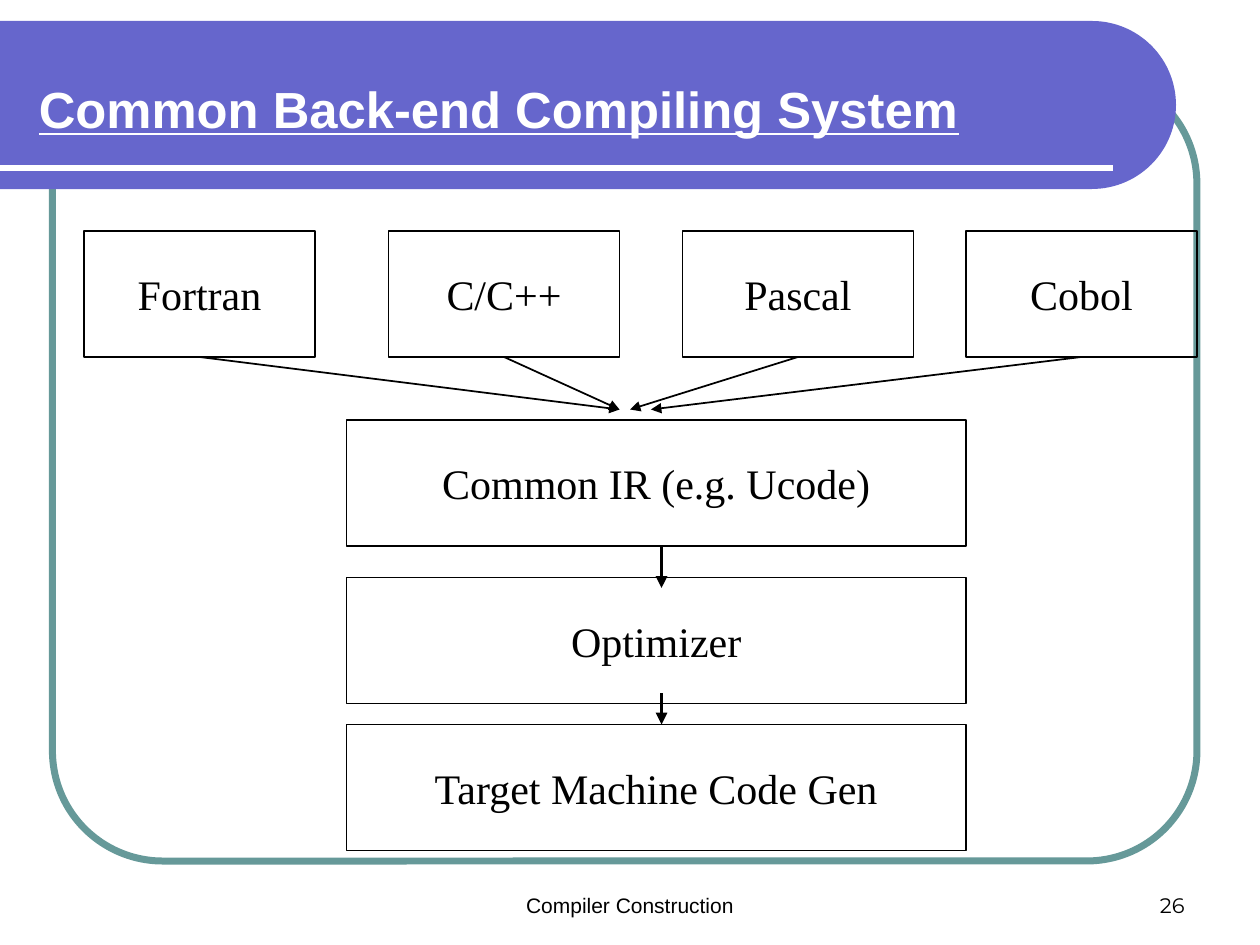
import math
from dataclasses import dataclass
from pptx import Presentation
from pptx.dml.color import RGBColor
from pptx.enum.shapes import MSO_CONNECTOR, MSO_SHAPE
from pptx.enum.text import MSO_ANCHOR, MSO_AUTO_SIZE, PP_ALIGN
from pptx.oxml.ns import qn
from pptx.util import Pt
from lxml import etree

STRAIGHT = MSO_CONNECTOR.STRAIGHT
RECTANGLE, ROUNDED = MSO_SHAPE.RECTANGLE, MSO_SHAPE.ROUNDED_RECTANGLE
MIDDLE, BOTTOM = MSO_ANCHOR.MIDDLE, MSO_ANCHOR.BOTTOM
LEFT, CENTER, RIGHT = PP_ALIGN.LEFT, PP_ALIGN.CENTER, PP_ALIGN.RIGHT
TITLE_ONLY = 5


@dataclass(frozen=True)
class Theme:
    ink: RGBColor = RGBColor(0, 0, 0)
    white: RGBColor = RGBColor(255, 255, 255)
    band: RGBColor = RGBColor(0x66, 0x66, 0xCC)
    frame: RGBColor = RGBColor(0x66, 0x99, 0x99)
    title_font: str = "Arial"
    box_font: str = "Times New Roman"
    number_font: str = "Montserrat"
    title_size: int = 29
    box_size: int = 24
    footer_size: int = 12


THEME = Theme()
TITLE = "Common Back-end Compiling System"
LANGUAGES = [("Fortran", 48, 354), ("C/C++", 222, 354), ("Pascal", 390, 360), ("Cobol", 552, 372)]
STAGES = [("Common IR (e.g. Ucode)", 240), ("Optimizer", 330), ("Target Machine Code Gen", 414)]
STAGE_ARROWS = [(396, 414), (312, 336)]
FOOTERS = [
    ("Compiler Construction", 246, 228, THEME.title_font, CENTER),
    ("26", 516, 168, THEME.number_font, RIGHT),
]
LANGUAGE_TOP, LANGUAGE_WIDTH, BOX_HEIGHT = 132, 132, 72
STAGE_LEFT, STAGE_WIDTH = 198, 354
ARROW_END, STAGE_ARROW_X = 234, 378
FOOTER_TOP, FOOTER_HEIGHT = 492, 36
BAND_TOP, BAND_RIGHT, BAND_RADIUS = 12, 672, 48


def write(shape, text, font_name, size, color, align, anchor, wrap=True):
    frame = shape.text_frame
    frame.text = text
    frame.word_wrap = wrap
    frame.auto_size = MSO_AUTO_SIZE.NONE
    frame.vertical_anchor = anchor
    paragraph = frame.paragraphs[0]
    paragraph.alignment = align
    font = paragraph.font
    font.name, font.size, font.color.rgb = font_name, Pt(size), color
    return font


def add_outline(slide, kind, bounds, color, width):
    shape = slide.shapes.add_shape(kind, *map(Pt, bounds))
    shape.shadow.inherit = False
    shape.fill.background()
    shape.line.color.rgb, shape.line.width = color, Pt(width)
    return shape


def add_box(slide, text, left, top, width):
    shape = add_outline(slide, RECTANGLE, (left, top, width, BOX_HEIGHT), THEME.ink, 1)
    write(shape, text, THEME.box_font, THEME.box_size, THEME.ink, CENTER, MIDDLE, wrap=False)


def add_line(slide, start, end, color, width, arrow=True):
    connector = slide.shapes.add_connector(STRAIGHT, *map(Pt, start + end))
    connector.line.color.rgb, connector.line.width = color, Pt(width)
    if arrow:
        line = connector.line._get_or_add_ln()
        etree.SubElement(line, qn("a:tailEnd"), type="triangle")
    etree.SubElement(connector.element.spPr, qn("a:effectLst"))


def add_band(slide):
    center_x, center_y = BAND_RIGHT - BAND_RADIUS, BAND_TOP + BAND_RADIUS
    angles = [math.radians(degrees) for degrees in range(-90, 91, 3)]
    arc = [(Pt(center_x + BAND_RADIUS * math.cos(angle)), Pt(center_y + BAND_RADIUS * math.sin(angle)))
           for angle in angles]
    builder = slide.shapes.build_freeform(0, Pt(BAND_TOP))
    builder.add_line_segments(arc + [(0, Pt(BAND_TOP + 2 * BAND_RADIUS))], close=True)
    band = builder.convert_to_shape()
    band.shadow.inherit = False
    band.fill.solid()
    band.fill.fore_color.rgb = THEME.band
    band.line.fill.background()


def add_title(slide):
    title = slide.shapes.title
    title.left, title.top, title.width, title.height = map(Pt, (15, 34, 631.5, 56))
    font = write(title, TITLE, THEME.title_font, THEME.title_size, THEME.white, LEFT, MIDDLE)
    font.bold = font.underline = True
    title.element.getparent().append(title.element)


def main():
    presentation = Presentation()
    presentation.slide_width, presentation.slide_height = Pt(720), Pt(540)
    slide = presentation.slides.add_slide(presentation.slide_layouts[TITLE_ONLY])

    frame = add_outline(slide, ROUNDED, (30, 42, 654, 450), THEME.frame, 4)
    frame.adjustments[0] = 0.14
    add_band(slide)
    add_line(slide, (0, 96), (636, 96), THEME.white, 3, arrow=False)
    add_title(slide)

    for text, left, _ in LANGUAGES:
        add_box(slide, text, left, LANGUAGE_TOP, LANGUAGE_WIDTH)
    for text, top in STAGES:
        add_box(slide, text, STAGE_LEFT, top, STAGE_WIDTH)

    for _, left, target in LANGUAGES:
        start = (left + LANGUAGE_WIDTH / 2, LANGUAGE_TOP + BOX_HEIGHT)
        add_line(slide, start, (target, ARROW_END), THEME.ink, 1)
    for top, bottom in STAGE_ARROWS:
        add_line(slide, (STAGE_ARROW_X, top), (STAGE_ARROW_X, bottom), THEME.ink, 2.25)

    for text, left, width, font_name, align in FOOTERS:
        box = slide.shapes.add_textbox(*map(Pt, (left, FOOTER_TOP, width, FOOTER_HEIGHT)))
        write(box, text, font_name, THEME.footer_size, THEME.ink, align, BOTTOM)

    presentation.save("out.pptx")


if __name__ == "__main__":
    main()
